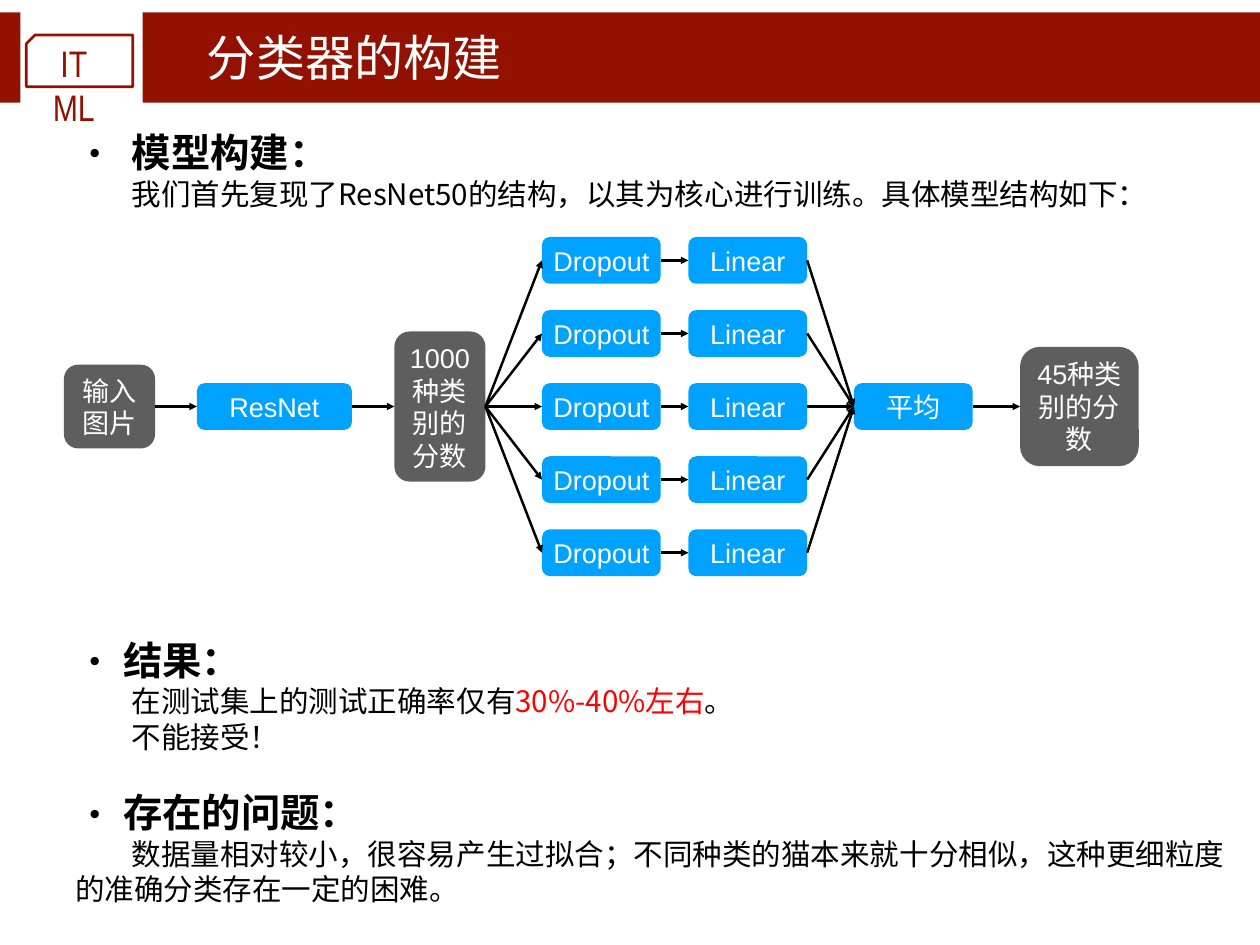
import pptx
import pptx.dml.color
import pptx.enum.shapes
import pptx.enum.text
import pptx.oxml.ns
import pptx.util
from lxml import etree

Pt = pptx.util.Pt
RGBColor = pptx.dml.color.RGBColor
SHAPE = pptx.enum.shapes.MSO_SHAPE
ALIGN = pptx.enum.text.PP_ALIGN
ANCHOR = pptx.enum.text.MSO_ANCHOR
qn = pptx.oxml.ns.qn

# Content
TITLE = "分类器的构建"
BADGE = ("IT", "ML")
# Each section: top, heading, heading indent, body lines of (text, is highlighted)
SECTIONS = [
    (102.5, "模型构建：", 46,
     [[("我们首先复现了ResNet50的结构，以其为核心进行训练。具体模型结构如下：", False)]]),
    (515, "结果：", 39,
     [[("在测试集上的测试正确率仅有", False), ("30%-40%左右", True), ("。", False)],
      [("不能接受！", False)]]),
    (639, "存在的问题：", 39,
     [[("数据量相对较小，很容易产生过拟合；不同种类的猫本来就十分相似，"
        "这种更细粒度的准确分类存在一定的困难。", False)]]),
]

# Colours and fonts
RED = RGBColor(0x92, 0x11, 0x00)
HIGHLIGHT = RGBColor(0xFF, 0x00, 0x00)
BLUE = RGBColor(0x00, 0xA2, 0xFF)
GREY = RGBColor(0x5E, 0x5E, 0x5E)
BLACK = RGBColor(0, 0, 0)
WHITE = RGBColor(0xFF, 0xFF, 0xFF)
CJK = "Noto Sans CJK SC"

# Model blocks: text, left, width, height, fill; all centred on one axis
AXIS = 330.4
INPUT = ("输入图片", 52, 74, 68, GREY)
RESNET = ("ResNet", 160, 126, 38, BLUE)
SCORES = ("1000种类别的分数", 320.5, 74, 122, GREY)
DROPOUT = ("Dropout", 440.5, 96.5, 38, BLUE)
LINEAR = ("Linear", 559.5, 96.5, 38, BLUE)
AVERAGE = ("平均", 694, 96.5, 38, BLUE)
OUTPUT = ("45种类别的分数", 829, 96.5, 97, GREY)
BRANCHES = 5
BRANCH_PITCH = 59.4

prs = pptx.Presentation()
prs.slide_width, prs.slide_height = Pt(1024), Pt(768)
slide = prs.slides.add_slide(prs.slide_layouts[5])
shapes = slide.shapes


def set_font(font, name, size, color, bold=False):
    font.name, font.size, font.bold = name, Pt(size), bold
    font.color.rgb = color
    east_asian = etree.Element(qn("a:ea"), typeface=name)
    font._element.find(qn("a:latin")).addnext(east_asian)


def set_frame(frame, margin, anchor, wrap=True):
    frame.margin_left = frame.margin_right = Pt(margin)
    frame.margin_top = frame.margin_bottom = Pt(margin)
    frame.vertical_anchor, frame.word_wrap = anchor, wrap


def add_panel(kind, left, top, width, height, fill=None):
    panel = shapes.add_shape(kind, Pt(left), Pt(top), Pt(width), Pt(height))
    panel.shadow.inherit = False
    panel.line.fill.background()
    if fill is None:
        panel.fill.background()
    else:
        panel.fill.solid()
        panel.fill.fore_color.rgb = fill
    return panel


def add_block(block, offset=0):
    text, left, width, height, fill = block
    panel = add_panel(SHAPE.ROUNDED_RECTANGLE, left, AXIS + offset - height / 2,
                      width, height, fill)
    set_frame(panel.text_frame, 4.3, ANCHOR.MIDDLE)
    label = panel.text_frame.paragraphs[0]
    label.text, label.alignment = text, ALIGN.CENTER
    set_font(label.font, "Arial", 22, WHITE)
    return panel


def add_arrow(source, target):
    arrow = shapes.add_connector(pptx.enum.shapes.MSO_CONNECTOR.STRAIGHT, 0, 0, 0, 0)
    arrow.begin_connect(source, 3)
    arrow.end_connect(target, 1)
    arrow.line.color.rgb, arrow.line.width = BLACK, Pt(2)
    etree.SubElement(arrow.line._get_or_add_ln(), qn("a:tailEnd"), type="triangle")
    etree.SubElement(arrow._element.spPr, qn("a:effectLst"))


def add_section(top, heading, indent, lines):
    box = shapes.add_textbox(Pt(61), Pt(top), Pt(945), Pt(40 + 29 * len(lines)))
    frame = box.text_frame
    set_frame(frame, 0, ANCHOR.TOP)
    head = frame.paragraphs[0]
    head.text, head.line_spacing = heading, Pt(40)
    props = head._p.get_or_add_pPr()
    props.set("marL", str(Pt(indent)))
    props.set("indent", str(-Pt(indent)))
    etree.SubElement(props, qn("a:buFont"), typeface=CJK)
    etree.SubElement(props, qn("a:buChar"), char="·")
    set_font(head.font, CJK, 32, BLACK, bold=True)
    for line in lines:
        body = frame.add_paragraph()
        body.line_spacing = Pt(29)
        body._p.get_or_add_pPr().set("indent", str(Pt(46)))
        set_font(body.font, CJK, 24, BLACK)
        for text, highlighted in line:
            run = body.add_run()
            run.text = text
            if highlighted:
                run.font.color.rgb = HIGHLIGHT


# Header band and badge
add_panel(SHAPE.RECTANGLE, 0, 10, 1024, 73.5, RED)
add_panel(SHAPE.RECTANGLE, 16.5, 5, 99.5, 89, WHITE)
badge_frame = add_panel(SHAPE.SNIP_1_RECTANGLE, 21.5, 28.5, 86.5, 42)
badge_frame.line.color.rgb, badge_frame.line.width = RED, Pt(2.25)
badge_frame._element.spPr.find(qn("a:xfrm")).set("flipH", "1")
badge = shapes.add_textbox(Pt(38), Pt(33), Pt(44), Pt(72)).text_frame
set_frame(badge, 0, ANCHOR.MIDDLE, wrap=False)
badge.text = "\n".join(BADGE)
for part in badge.paragraphs:
    part.alignment, part.line_spacing = ALIGN.CENTER, Pt(36)
    set_font(part.font, "Arial Narrow", 30, RED)

# Title, brought in front of the band
title = shapes.title
title.left, title.top, title.width, title.height = Pt(161), Pt(17), Pt(745), Pt(59)
shapes._spTree.append(title._element)
title.text = TITLE
set_frame(title.text_frame, 7.2, ANCHOR.MIDDLE)
heading_line = title.text_frame.paragraphs[0]
heading_line.alignment = ALIGN.LEFT
set_font(heading_line.font, CJK, 40, WHITE)

# Text sections
for section in SECTIONS:
    add_section(*section)

# Model diagram
input_image, resnet, scores = [add_block(b) for b in (INPUT, RESNET, SCORES)]
offsets = [(i - (BRANCHES - 1) / 2) * BRANCH_PITCH for i in range(BRANCHES)]
branches = [(add_block(DROPOUT, y), add_block(LINEAR, y)) for y in offsets]
average, output = add_block(AVERAGE), add_block(OUTPUT)

add_arrow(input_image, resnet)
add_arrow(resnet, scores)
for dropout, linear in branches:
    add_arrow(scores, dropout)
    add_arrow(dropout, linear)
    add_arrow(linear, average)
add_arrow(average, output)

prs.save("out.pptx")
